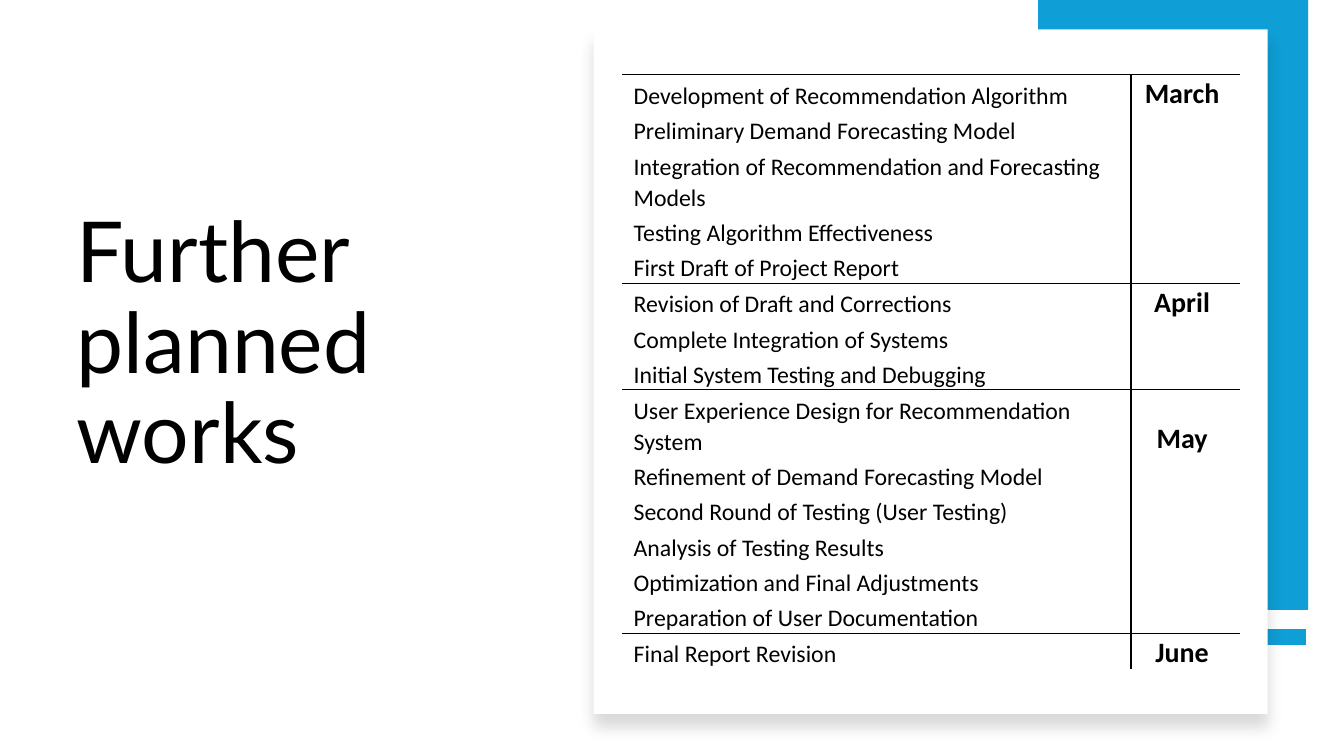
import pptx
import pptx.util
import pptx.dml.color
import pptx.enum.shapes
import pptx.enum.text
import pptx.oxml
import pptx.oxml.ns

Cm, Pt = pptx.util.Cm, pptx.util.Pt
BLUE, BLACK, WHITE = "0F9ED5", "000000", "FFFFFF"
RECTANGLE = pptx.enum.shapes.MSO_SHAPE.RECTANGLE
BOTTOM = pptx.enum.text.MSO_ANCHOR.BOTTOM
NAMESPACE = pptx.oxml.ns.nsdecls("a")

PLAN = {
    "March ": [
        "Development of Recommendation Algorithm",
        "Preliminary Demand Forecasting Model",
        "Integration of Recommendation and Forecasting Models",
        "Testing Algorithm Effectiveness",
        "First Draft of Project Report",
    ],
    "April ": [
        "Revision of Draft and Corrections",
        "Complete Integration of Systems",
        "Initial System Testing and Debugging",
    ],
    "May ": [
        "User Experience Design for Recommendation System",
        "Refinement of Demand Forecasting Model",
        "Second Round of Testing (User Testing)",
        "Analysis of Testing Results",
        "Optimization and Final Adjustments",
        "Preparation of User Documentation",
    ],
    "June ": ["Final Report Revision"],
}


def color(value):
    return pptx.dml.color.RGBColor.from_string(value)


def add_panel(left, top, width, height, fill):
    panel = page.shapes.add_shape(RECTANGLE, Cm(left), Cm(top), Cm(width), Cm(height))
    panel.shadow.inherit = False
    panel.fill.solid()
    panel.fill.fore_color.rgb = color(fill)
    panel.line.fill.background()
    return panel


deck = pptx.Presentation()
deck.slide_width, deck.slide_height = Cm(33.87), Cm(19.05)
page = deck.slides.add_slide(deck.slide_layouts[6])

# Title
title = page.shapes.add_textbox(Cm(1.68), Cm(1.88), Cm(11.58), Cm(10.39))
title.text_frame.word_wrap = True
title.text_frame.vertical_anchor = BOTTOM
para = title.text_frame.paragraphs[0]
para.text = "Further planned works"
para.line_spacing = 0.9
para.space_after = Pt(6)
para.font.name, para.font.size = "Lato", Pt(60)
para.font.color.rgb = color(BLACK)

# Blue accents
accent = page.shapes.add_connector(
    pptx.enum.shapes.MSO_CONNECTOR.STRAIGHT, Cm(32.92), Cm(16.05), Cm(26.16), Cm(16.05))
accent.line.color.rgb = color(BLUE)
accent.line.width = Pt(12)
accent._element.spPr.append(pptx.oxml.parse_xml(f"<a:effectLst {NAMESPACE}/>"))
add_panel(26.16, 0, 6.81, 15.37, BLUE)

# White card with a soft shadow below
card = add_panel(14.96, 0.74, 16.99, 17.25, WHITE)
effects = card._element.spPr.find(pptx.oxml.ns.qn("a:effectLst"))
effects.append(pptx.oxml.parse_xml(
    f'<a:outerShdw {NAMESPACE} blurRad="{Pt(11)}" dist="{Pt(10)}" dir="5400000" '
    f'algn="t" rotWithShape="0"><a:srgbClr val="{BLACK}"><a:alpha val="15000"/>'
    '</a:srgbClr></a:outerShdw>'))

# Schedule rows: task, month on the first row of its block
rows = [(task, month if index == 0 else "")
        for month, tasks in PLAN.items() for index, task in enumerate(tasks)]
frame = page.shapes.add_table(len(rows), 2, Cm(15.67), Cm(1.88), Cm(15.57), Cm(14.99))
schedule = frame.table
schedule.first_row = schedule.horz_banding = False
style = schedule._tbl.tblPr.find(pptx.oxml.ns.qn("a:tableStyleId"))
style.text = "{2D5ABB26-0587-4C30-8999-92F81FD0307C}"
schedule.columns[0].width, schedule.columns[1].width = Cm(12.83), Cm(2.74)

for row, texts in enumerate(rows):
    wraps = len(texts[0]) > 45
    schedule.rows[row].height = Cm(1.68 if wraps else 0.89)
    starts_block = bool(texts[1])
    ends_block = row + 1 < len(rows) and bool(rows[row + 1][1])
    for column, text in enumerate(texts):
        cell = schedule.cell(row, column)
        cell.margin_left = cell.margin_right = Cm(0.3)
        cell.margin_top = cell.margin_bottom = 0
        cell.vertical_anchor = BOTTOM
        para = cell.text_frame.paragraphs[0]
        para.text = text
        para.line_spacing = 1.07
        para.space_after = Pt(8)
        para.font.name = "Calibri"
        para.font.size = Pt(20 if column and text else 17)
        para.font.bold = column == 1
        para.font.color.rgb = color(BLACK)
        if column:
            para.alignment = pptx.enum.text.PP_ALIGN.CENTER

        # Cell borders
        sides = {"L": column == 1, "R": column == 0, "T": starts_block, "B": ends_block}
        for side, drawn in sides.items():
            paint = (f'<a:solidFill><a:srgbClr val="{BLACK}"/></a:solidFill>'
                     if drawn else "<a:noFill/>")
            cell._tc.get_or_add_tcPr().append(pptx.oxml.parse_xml(
                f'<a:ln{side} {NAMESPACE} w="{Pt(1)}">{paint}</a:ln{side}>'))
        cell.fill.background()

deck.save("out.pptx")
